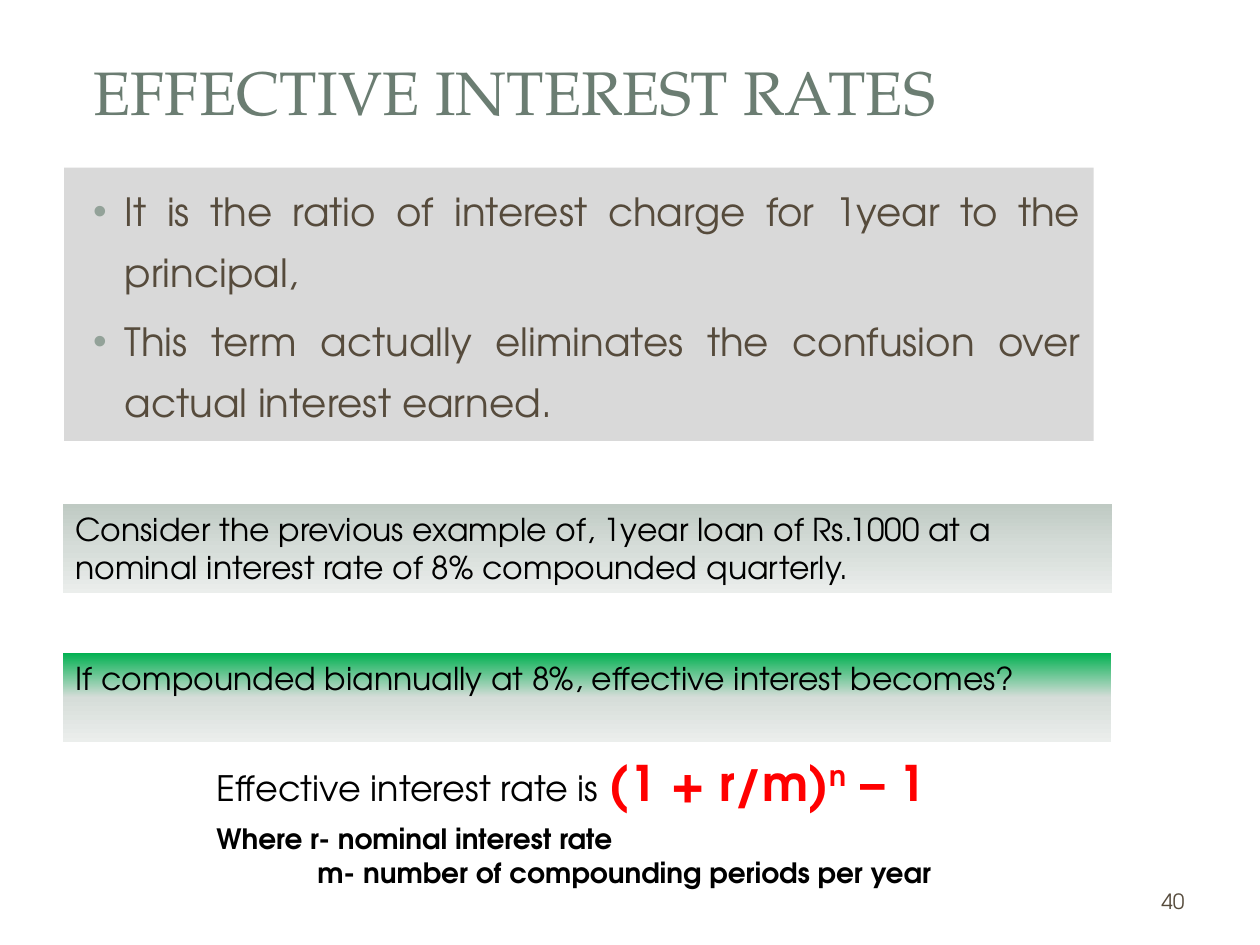
from lxml import etree
from pptx import Presentation
from pptx import util as u
from pptx.dml.color import RGBColor
from pptx.enum import shapes, text
from pptx.oxml.ns import qn

PX = 9144  # 100 px to the inch
HEADING_FONT = "TeX Gyre Pagella"
BODY_FONT = "TeX Gyre Adventor"
COLORS = {
    "title": "6B7D72", "body": "564B3C", "bullet": "93A299", "panel": "D9D9D9",
    "text": "000000", "formula": "FF0000", "sage": "BFCAC3", "green": "00B050",
    "mist": "D6DDD9", "pale": "EBEEEC",
}


class SlideBuilder:
    def __init__(self, presentation):
        self.slide = presentation.slides.add_slide(presentation.slide_layouts[1])

    def style(self, font, size, color="text", bold=False, name=BODY_FONT):
        font.name, font.size, font.bold = name, u.Pt(size), bold
        font.color.rgb = RGBColor.from_string(COLORS[color])

    def place(self, shape, box):
        shape.left, shape.top, shape.width, shape.height = (v * PX for v in box)

    def title(self, box, words):
        shape = self.slide.shapes.title
        self.place(shape, box)
        frame = shape.text_frame
        frame.text = words
        frame.auto_size = text.MSO_AUTO_SIZE.NONE
        frame.vertical_anchor = text.MSO_ANCHOR.MIDDLE
        paragraph = frame.paragraphs[0]
        paragraph.alignment = text.PP_ALIGN.CENTER
        self.style(paragraph.font, 35, "title", name=HEADING_FONT)

    def bullets(self, box, items):
        shape = self.slide.placeholders[1]
        self.place(shape, box)
        shape.fill.solid()
        shape.fill.fore_color.rgb = RGBColor.from_string(COLORS["panel"])
        frame = shape.text_frame
        frame.text = "\n".join(items)
        frame.auto_size = text.MSO_AUTO_SIZE.NONE
        for paragraph in frame.paragraphs:
            paragraph.alignment = text.PP_ALIGN.JUSTIFY
            paragraph.line_spacing = 1.3
            paragraph.space_before = u.Pt(5)
            self.bullet(paragraph)
            self.style(paragraph.font, 22.2, "body")

    def bullet(self, paragraph):
        properties = paragraph._p.get_or_add_pPr()
        properties.set("marL", str(38 * PX))
        properties.set("indent", str(-25 * PX))
        color = etree.SubElement(properties, qn("a:buClr"))
        etree.SubElement(color, qn("a:srgbClr"), val=COLORS["bullet"])
        etree.SubElement(properties, qn("a:buFont"), typeface="Arial")
        etree.SubElement(properties, qn("a:buChar"), char="•")

    def gradient_box(self, box, words, top_color):
        shape = self.slide.shapes.add_shape(
            shapes.MSO_SHAPE.RECTANGLE, *(v * PX for v in box))
        shape.shadow.inherit = False
        shape.line.fill.background()
        shape.fill.gradient()
        shape.fill.gradient_angle = 270
        stops = shape._element.spPr.find(".//" + qn("a:gsLst"))
        for stop in list(stops):
            stops.remove(stop)
        for position, color in ((0, top_color), (50, "mist"), (100, "pale")):
            stop = etree.SubElement(stops, qn("a:gs"), pos=str(position * 1000))
            etree.SubElement(stop, qn("a:srgbClr"), val=COLORS[color])
        frame = shape.text_frame
        frame.word_wrap = True
        frame.vertical_anchor = text.MSO_ANCHOR.TOP
        frame.text = words
        paragraph = frame.paragraphs[0]
        paragraph.alignment = text.PP_ALIGN.LEFT
        self.style(paragraph.font, 18)

    def text_box(self, box):
        shape = self.slide.shapes.add_textbox(*(v * PX for v in box))
        shape.text_frame.word_wrap = True
        return shape.text_frame

    def formula(self, box, parts, legend):
        """parts: (words, size, colour, bold, superscript %); legend: (words, left indent)."""
        frame = self.text_box(box)
        paragraph = frame.paragraphs[0]
        paragraph.space_after = u.Pt(6)
        for words, size, color, bold, raised in parts:
            run = paragraph.add_run()
            run.text = words
            self.style(run.font, size, color, bold)
            if raised:
                run._r.get_or_add_rPr().set("baseline", str(raised * 1000))
        for words, indent in legend:
            paragraph = frame.add_paragraph()
            paragraph.text = words
            paragraph._p.get_or_add_pPr().set("marL", str(indent * PX))
            self.style(paragraph.font, 16, bold=True)

    def page_number(self, box, number):
        frame = self.text_box(box)
        frame.text = number
        frame.vertical_anchor = text.MSO_ANCHOR.MIDDLE
        paragraph = frame.paragraphs[0]
        paragraph.alignment = text.PP_ALIGN.RIGHT
        self.style(paragraph.font, 12, "body")


def main():
    presentation = Presentation()
    presentation.slide_width, presentation.slide_height = 1000 * PX, 750 * PX
    builder = SlideBuilder(presentation)
    builder.page_number((717, 695, 233, 40), "40")
    builder.title((0, 33, 817, 78), "EFFECTIVE INTEREST RATES")
    builder.bullets((51, 133, 817, 217), (
        "It is the ratio of interest charge for 1year to the principal,",
        "This term actually eliminates the confusion over actual interest earned.",
    ))
    builder.formula((162, 592, 663, 119), (
        ("Effective interest rate is ", 20, "text", False, 0),
        ("(1 + r/m)", 28, "formula", True, 0),
        ("n", 28, "formula", True, 30),
        (" – 1", 28, "formula", True, 0),
    ), (
        ("Where r- nominal interest rate", 0),
        ("m- number of compounding periods per year", 80),
    ))
    builder.gradient_box(
        (50, 400, 833, 71),
        "Consider the previous example of, 1year loan of Rs.1000 at a nominal "
        "interest rate of 8% compounded quarterly.", "sage")
    builder.gradient_box(
        (50, 518, 832, 71),
        "If compounded biannually at 8%, effective interest becomes?", "green")
    presentation.save("out.pptx")


if __name__ == "__main__":
    main()
